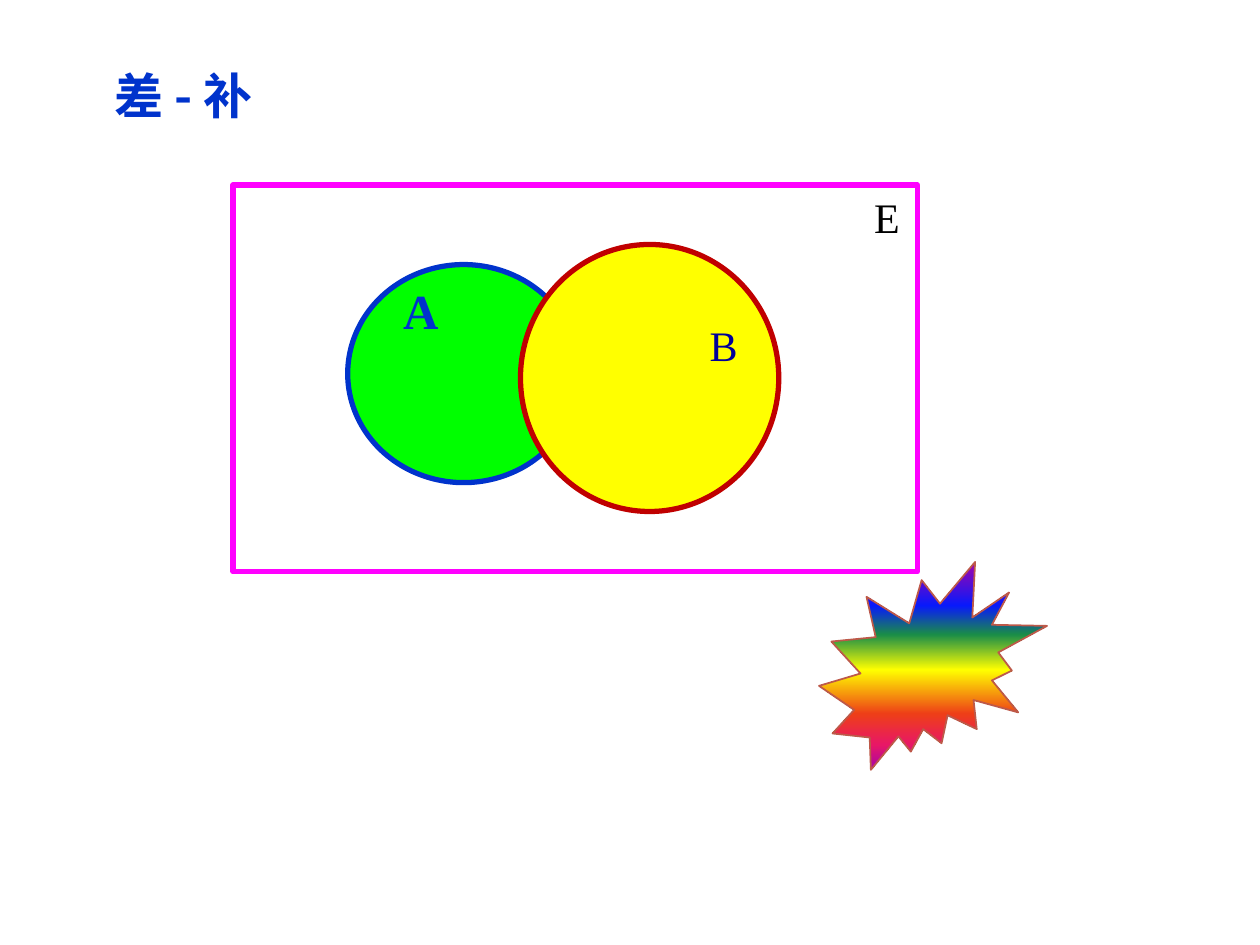
from dataclasses import dataclass

from lxml import etree
from pptx import Presentation
from pptx import util as u
from pptx.dml.color import RGBColor
from pptx.enum import shapes, text
from pptx.oxml import ns


@dataclass(frozen=True)
class Theme:
    """Colours, fonts and type sizes of the slide."""
    blue: str = "0033CC"
    navy: str = "000099"
    black: str = "000000"
    magenta: str = "FF00FF"
    green: str = "00FF00"
    yellow: str = "FFFF00"
    red: str = "C00000"
    rust: str = "BD5949"
    rainbow: tuple = ((0, "A603AB"), (21, "0819FB"), (35, "1A8D48"), (52, "FFFF00"),
                      (73, "EE3F17"), (88, "E81766"), (100, "A603AB"))
    title_font: str = "Noto Sans CJK SC"
    label_font: str = "Times New Roman"
    large: int = 28
    medium: int = 24


THEME = Theme()


def box(left, top, width, height):
    """Turn point values into lengths."""
    return u.Pt(left), u.Pt(top), u.Pt(width), u.Pt(height)


def add_run(paragraph, wording, font, size, color, bold=False):
    """Append one formatted run, with its face set for Latin and Asian text."""
    run = paragraph.add_run()
    run.text = wording
    run.font.name = font
    run.font.size = u.Pt(size)
    run.font.bold = bold
    run.font.color.rgb = RGBColor.from_string(color)
    asian = etree.SubElement(run.font._element, ns.qn("a:ea"))
    asian.set("typeface", font)


def add_title(slide, wording, place):
    """Place and format the title placeholder."""
    title = slide.shapes.title
    title.left, title.top, title.width, title.height = place
    frame = title.text_frame
    frame.word_wrap = True
    frame.vertical_anchor = text.MSO_ANCHOR.MIDDLE
    frame.margin_top = frame.margin_bottom = 0
    heading = frame.paragraphs[0]
    heading.alignment = text.PP_ALIGN.LEFT
    add_run(heading, wording, THEME.title_font, THEME.large, THEME.blue, bold=True)


def add_region(slide, preset, place, outline, weight, fill=None):
    """Draw an outlined preset shape, hollow unless a fill is given."""
    region = slide.shapes.add_shape(preset, *place)
    region.shadow.inherit = False
    region.line.color.rgb = RGBColor.from_string(outline)
    region.line.width = u.Pt(weight)
    if fill:
        region.fill.solid()
        region.fill.fore_color.rgb = RGBColor.from_string(fill)
    else:
        region.fill.background()
    return region


def add_label(slide, letter, place, size, color, bold=False, wrap=False):
    """Write a centred set name."""
    label = slide.shapes.add_textbox(*place)
    frame = label.text_frame
    frame.word_wrap = wrap
    frame.auto_size = text.MSO_AUTO_SIZE.SHAPE_TO_FIT_TEXT
    name = frame.paragraphs[0]
    name.alignment = text.PP_ALIGN.CENTER
    add_run(name, letter, THEME.label_font, size, color, bold)


def fill_rainbow(region):
    """Give a shape the downward rainbow gradient."""
    region.fill.gradient()
    region.fill.gradient_angle = 270
    stops = region._element.spPr.find(ns.qn("a:gradFill")).find(ns.qn("a:gsLst"))
    for stop in list(stops):
        stops.remove(stop)
    for percent, color in THEME.rainbow:
        stop = etree.SubElement(stops, ns.qn("a:gs"), pos=str(percent * 1000))
        etree.SubElement(stop, ns.qn("a:srgbClr"), val=color)


def main():
    """Build the set difference slide."""
    deck = Presentation()
    deck.slide_width, deck.slide_height = u.Pt(720), u.Pt(540)
    slide = deck.slides.add_slide(deck.slide_layouts[5])
    preset = shapes.MSO_SHAPE

    add_region(slide, preset.RECTANGLE, box(133.2, 105.8, 391, 221), THEME.magenta, 3)
    add_label(slide, "E", box(492.5, 105.8, 28.8, 36.7), THEME.medium, THEME.black)
    add_region(slide, preset.OVAL, box(198.7, 151.2, 132.5, 124.6), THEME.blue, 3, THEME.green)
    add_label(slide, "A", box(223.2, 157, 34.6, 41), THEME.large, THEME.blue, bold=True)
    add_region(slide, preset.OVAL, box(297.4, 139.7, 147.6, 152.6), THEME.red, 3, THEME.yellow)
    add_label(slide, "B", box(399.6, 179.3, 13, 36.7), THEME.medium, THEME.navy, wrap=True)
    add_title(slide, "差 - 补", box(58.3, 33.8, 319, 41))
    burst = add_region(slide, preset.EXPLOSION2, box(468, 321.1, 130.3, 118.8), THEME.rust, 1)
    fill_rainbow(burst)

    deck.save("out.pptx")


if __name__ == "__main__":
    main()
